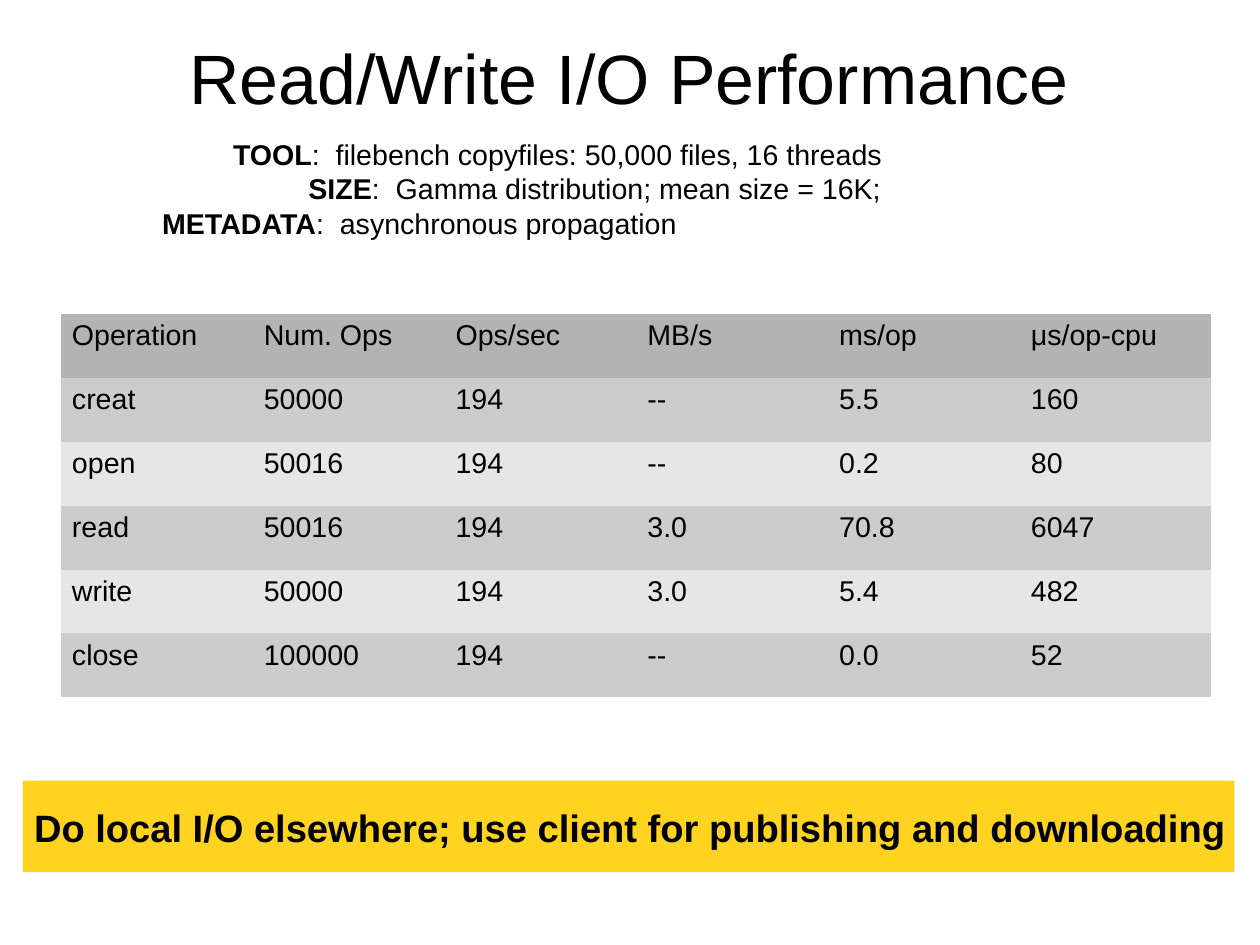
"""Build the Read/Write I/O Performance slide."""
from dataclasses import dataclass

from pptx import Presentation
from pptx.dml.color import RGBColor as Rgb
from pptx.enum.shapes import MSO_SHAPE as Preset
from pptx.enum.text import MSO_ANCHOR as Anchor, MSO_AUTO_SIZE as AutoSize, PP_ALIGN as Align
from pptx.oxml.ns import qn
from pptx.slide import Slide
from pptx.util import Inches, Pt


@dataclass(frozen=True)
class Theme:
    """Font, colours and type sizes of the slide."""
    font: str = "Arial"
    text: str = "000000"
    banner: str = "FFD320"
    header: str = "B3B3B3"
    bands: tuple[str, str] = ("CCCCCC", "E6E6E6")
    title_size: int = 44
    body_size: int = 18
    banner_size: int = 24


@dataclass(frozen=True)
class Area:
    """Position and size in inches."""
    left: float
    top: float
    width: float
    height: float

    def lengths(self) -> tuple[Inches, ...]:
        """Return the four lengths in the order shapes expect."""
        return tuple(Inches(n) for n in (self.left, self.top, self.width, self.height))


@dataclass(frozen=True)
class Setting:
    """One benchmark setting with its indent in inches."""
    label: str
    value: str
    indent: float


THEME = Theme()
MM_PER_INCH = 25.4
NO_GRID_STYLE = "{2D5ABB26-0587-4C30-8999-92F81FD0307C}"
TITLE_AREA = Area(0.55, -0.02, 9.92, 1.38)
SETTINGS_AREA = Area(1.32, 1.15, 8.52, 0.94)
TABLE_AREA = Area(0.53, 2.75, 10.07, 3.35)
BANNER_AREA = Area(0.2, 6.83, 10.6, 0.8)
MESSAGE_AREA = Area(0.2, 6.99, 10.8, 0.47)

SETTINGS = (
    Setting("TOOL", ":  filebench copyfiles: 50,000 files, 16 threads", 0.62),
    Setting("SIZE", ":  Gamma distribution; mean size = 16K;", 1.28),
    Setting("METADATA", ":  asynchronous propagation", 0),
)
RESULTS = (
    ("Operation", "Num. Ops", "Ops/sec", "MB/s", "ms/op", "μs/op-cpu"),
    ("creat", "50000", "194", "--", "5.5", "160"),
    ("open", "50016", "194", "--", "0.2", "80"),
    ("read", "50016", "194", "3.0", "70.8", "6047"),
    ("write", "50000", "194", "3.0", "5.4", "482"),
    ("close", "100000", "194", "--", "0.0", "52"),
)


def add_text(para, text: str, *, size: int = THEME.body_size, bold: bool = False) -> None:
    """Append a formatted span to a paragraph."""
    span = para.add_run()
    span.text = text
    span.font.name = THEME.font
    span.font.size = Pt(size)
    span.font.bold = bold
    span.font.color.rgb = Rgb.from_string(THEME.text)


def add_box(slide: Slide, area: Area):
    """Add a wrapping text box and return its text frame."""
    frame = slide.shapes.add_textbox(*area.lengths()).text_frame
    frame.word_wrap = True
    return frame


def draw_title(slide: Slide) -> None:
    """Place and fill the title placeholder."""
    title = slide.shapes.title
    title.left, title.top, title.width, title.height = TITLE_AREA.lengths()
    frame = title.text_frame
    frame.auto_size = AutoSize.NONE
    frame.vertical_anchor = Anchor.MIDDLE
    frame.margin_left = frame.margin_right = frame.margin_top = frame.margin_bottom = 0
    para = frame.paragraphs[0]
    para.alignment = Align.CENTER
    add_text(para, "Read/Write I/O Performance", size=THEME.title_size)


def draw_settings(slide: Slide) -> None:
    """List the benchmark settings, each with its own indent."""
    frame = add_box(slide, SETTINGS_AREA)
    for index, setting in enumerate(SETTINGS):
        para = frame.add_paragraph() if index else frame.paragraphs[0]
        para.alignment = Align.LEFT
        para._p.get_or_add_pPr().set("marL", str(Inches(setting.indent)))
        add_text(para, setting.label, bold=True)
        add_text(para, setting.value)


def draw_results(slide: Slide) -> None:
    """Draw the results table with grey bands."""
    holder = slide.shapes.add_table(len(RESULTS), len(RESULTS[0]), *TABLE_AREA.lengths())
    next(holder.element.iter(qn("a:tableStyleId"))).text = NO_GRID_STYLE
    table = holder.table
    table.first_row = table.horz_banding = False
    for row, values in enumerate(RESULTS):
        fill = THEME.bands[(row - 1) % 2] if row else THEME.header
        for column, value in enumerate(values):
            cell = table.cell(row, column)
            cell.fill.solid()
            cell.fill.fore_color.rgb = Rgb.from_string(fill)
            add_text(cell.text_frame.paragraphs[0], value)


def draw_banner(slide: Slide) -> None:
    """Draw the yellow banner and its message."""
    banner = slide.shapes.add_shape(Preset.RECTANGLE, *BANNER_AREA.lengths())
    banner.shadow.inherit = False
    banner.fill.solid()
    banner.fill.fore_color.rgb = Rgb.from_string(THEME.banner)
    banner.line.fill.background()
    message = "Do local I/O elsewhere; use client for publishing and downloading"
    para = add_box(slide, MESSAGE_AREA).paragraphs[0]
    add_text(para, message, size=THEME.banner_size, bold=True)


def main() -> None:
    """Build and save the deck."""
    deck = Presentation()
    deck.slide_width = Inches(280 / MM_PER_INCH)
    deck.slide_height = Inches(210 / MM_PER_INCH)
    page = deck.slides.add_slide(deck.slide_layouts[5])
    for draw in (draw_title, draw_settings, draw_results, draw_banner):
        draw(page)
    deck.save("out.pptx")


if __name__ == "__main__":
    main()
